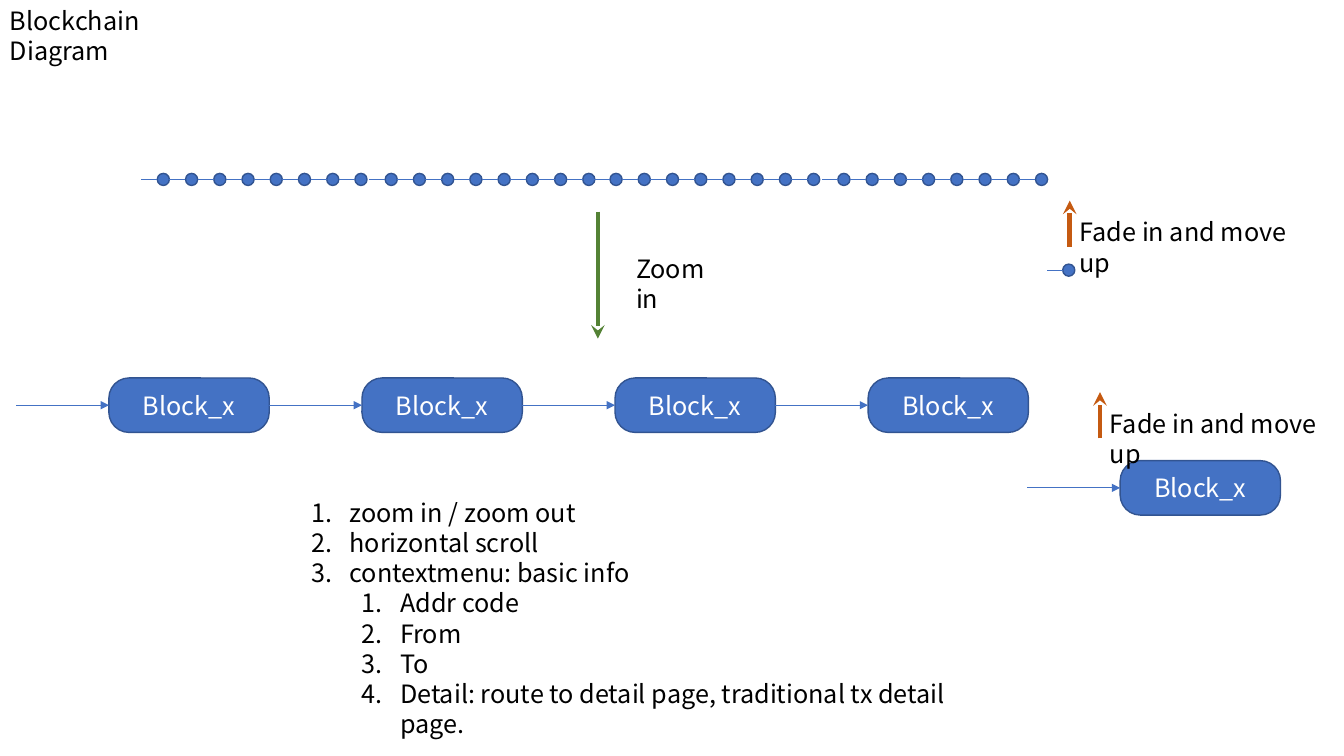
from lxml import etree
from pptx import Presentation
from pptx.dml.color import RGBColor
from pptx.enum.shapes import MSO_CONNECTOR, MSO_SHAPE
from pptx.enum.text import MSO_ANCHOR, PP_ALIGN
from pptx.oxml.ns import qn
from pptx.util import Inches, Pt

STRAIGHT = MSO_CONNECTOR.STRAIGHT
OVAL, ROUNDED = MSO_SHAPE.OVAL, MSO_SHAPE.ROUNDED_RECTANGLE
TOP, MIDDLE = MSO_ANCHOR.TOP, MSO_ANCHOR.MIDDLE
LEFT, CENTER = PP_ALIGN.LEFT, PP_ALIGN.CENTER

FONT = "Noto Sans CJK SC"
BLUE, NAVY, ORANGE, GREEN = "4472C4", "325491", "C55A11", "548235"
BLACK, WHITE = "000000", "FFFFFF"

TITLE = "Blockchain Diagram"
BLOCK_LABEL = "Block_x"
FADE_LABEL = "Fade in and move up"
ZOOM_LABEL = "Zoom in"
FEATURES = [
    (0, "zoom in / zoom out"),
    (0, "horizontal scroll"),
    (0, "contextmenu: basic info"),
    (1, "Addr code"),
    (1, "From"),
    (1, "To"),
    (1, "Detail: route to detail page, traditional tx detail page."),
]

BLOCK_W, BLOCK_H, BLOCK_LINK = 1.59, 0.54, 0.92
BLOCK_PITCH = BLOCK_W + BLOCK_LINK
CHAIN = [(1.08 + i * BLOCK_PITCH, 3.75) for i in range(4)]
NEW_BLOCK = (11.11, 4.57)
DOT, DOT_LINK, DOT_PITCH = 0.12, 0.16, 0.28
DOT_RUNS, DOTS_PER_RUN = [1.56, 3.82, 6.05, 8.31], 8
DOTS = [(start + i * DOT_PITCH, 1.72) for start in DOT_RUNS for i in range(DOTS_PER_RUN)]
NEW_DOT = (10.54, 2.62)
FADES = [(10.91, 3.89), (10.61, 1.99)]

prs = Presentation()
prs.slide_width, prs.slide_height = Inches(13.33), Inches(7.5)
slide = prs.slides.add_slide(prs.slide_layouts[6])


def rgb(value):
    return RGBColor.from_string(value)


def write(frame, lines, color=BLACK, align=LEFT, anchor=TOP, numbered=False):
    frame.word_wrap = True
    frame.vertical_anchor = anchor
    for i, (level, line) in enumerate(lines):
        paragraph = frame.paragraphs[0] if i == 0 else frame.add_paragraph()
        paragraph.alignment = align
        paragraph.level = level
        run = paragraph.add_run()
        run.text = line
        run.font.name, run.font.size = FONT, Pt(18)
        run.font.color.rgb = rgb(color)
        if numbered:
            props = paragraph._p.get_or_add_pPr()
            props.set("marL", str(Inches(0.38 + 0.5 * level)))
            props.set("indent", str(-Inches(0.38)))
            etree.SubElement(props, qn("a:buAutoNum"), type="arabicPeriod")


def add_text(x, y, w, h, lines, **style):
    box = slide.shapes.add_textbox(Inches(x), Inches(y), Inches(w), Inches(h))
    write(box.text_frame, lines, **style)


def add_line(x1, y1, x2, y2, color=BLUE, width=0.5, arrow=None):
    line = slide.shapes.add_connector(STRAIGHT, Inches(x1), Inches(y1), Inches(x2), Inches(y2))
    line.line.color.rgb = rgb(color)
    line.line.width = Pt(width)
    if arrow:
        etree.SubElement(line.line._get_or_add_ln(), qn("a:tailEnd"), type=arrow)
    etree.SubElement(line._element.spPr, qn("a:effectLst"))


def add_node(kind, x, y, w, h):
    node = slide.shapes.add_shape(kind, Inches(x), Inches(y), Inches(w), Inches(h))
    node.shadow.inherit = False
    node.fill.solid()
    node.fill.fore_color.rgb = rgb(BLUE)
    node.line.color.rgb = rgb(NAVY)
    node.line.width = Pt(1)
    return node


def add_block(x, y):
    block = add_node(ROUNDED, x, y, BLOCK_W, BLOCK_H)
    block.adjustments[0] = 0.37
    write(block.text_frame, [(0, BLOCK_LABEL)], color=WHITE, align=CENTER, anchor=MIDDLE)
    middle = y + BLOCK_H / 2
    add_line(x - BLOCK_LINK, middle, x, middle, arrow="triangle")


def add_dot(x, y):
    add_node(OVAL, x, y, DOT, DOT)
    middle = y + DOT / 2
    add_line(x, middle, x - DOT_LINK, middle)


add_text(0, 0, 2.34, 0.4, [(0, TITLE)])
for x, y in CHAIN + [NEW_BLOCK]:
    add_block(x, y)
for x, y in DOTS + [NEW_DOT]:
    add_dot(x, y)
for x, y in FADES:
    add_line(x, y + 0.46, x, y, ORANGE, 3.25, "stealth")
    add_text(x, y + 0.11, 2.49, 0.4, [(0, FADE_LABEL)])
add_line(5.93, 2.1, 5.93, 3.36, GREEN, 3.25, "stealth")
add_text(6.21, 2.46, 1.11, 0.4, [(0, ZOOM_LABEL)])
add_text(2.99, 4.88, 6.8, 2.22, FEATURES, numbered=True)

prs.save("out.pptx")
